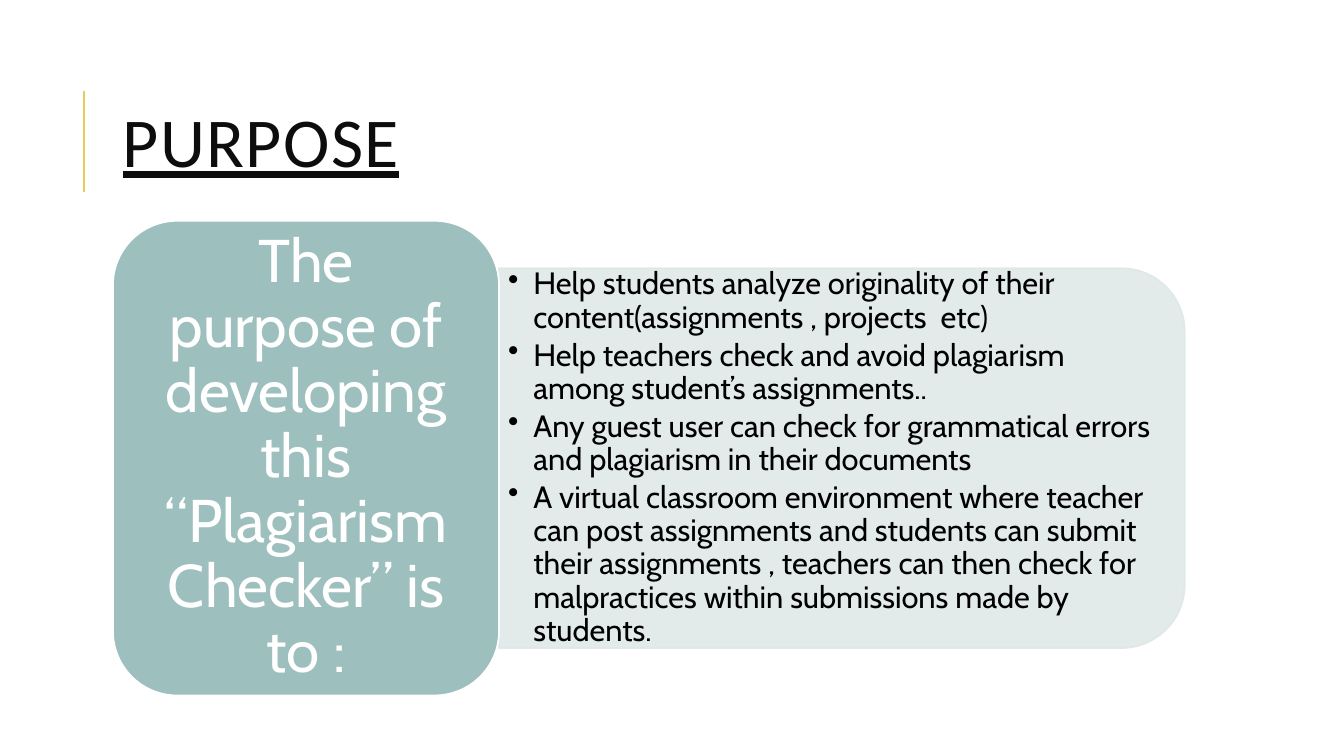
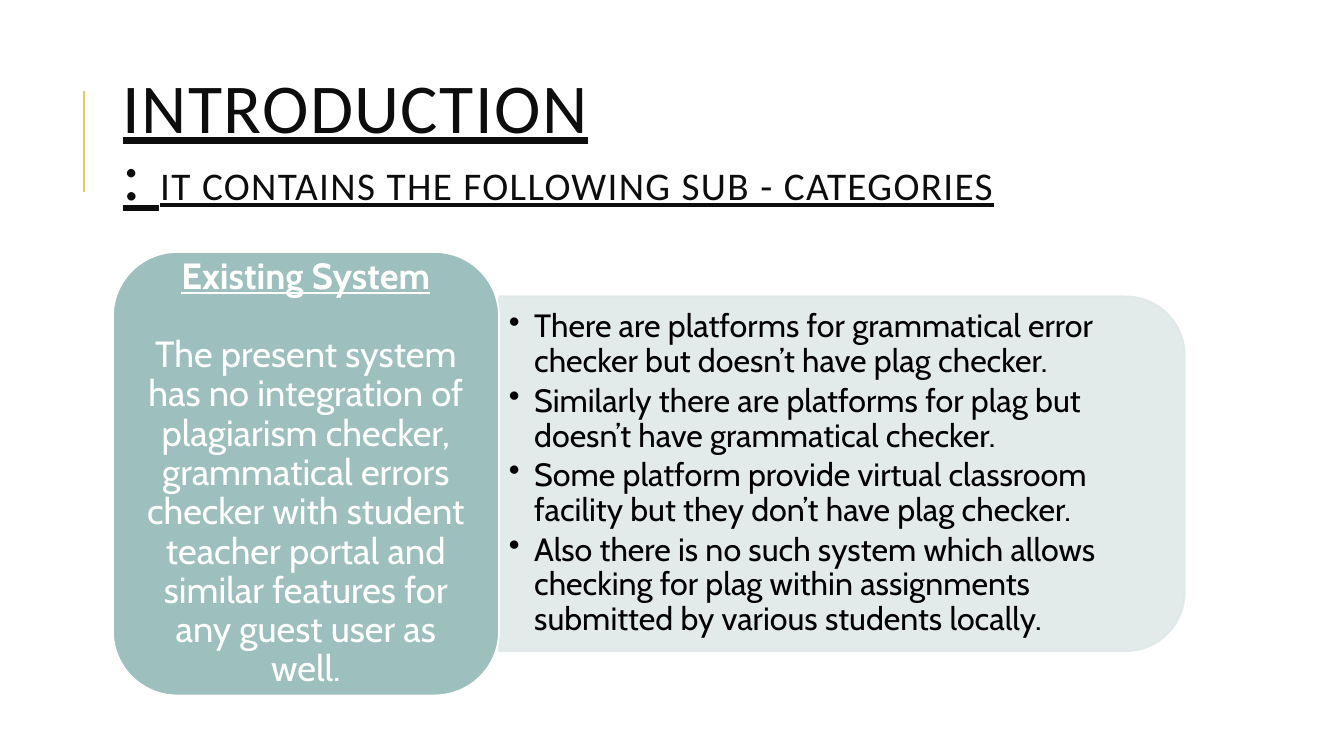
"""Build the purpose and introduction slides of a plagiarism checker deck."""
from dataclasses import dataclass

import pptx
import pptx.dml.color
import pptx.enum.shapes
import pptx.enum.text
import pptx.oxml.ns
import pptx.util
from lxml import etree

Inches = pptx.util.Inches
Pt = pptx.util.Pt
Shape = pptx.enum.shapes.MSO_SHAPE
Align = pptx.enum.text.PP_ALIGN
qn = pptx.oxml.ns.qn


@dataclass(frozen=True)
class Theme:
    """Colours, fonts and type sizes shared by the slides."""
    accent: str = "E3CC5A"
    title: str = "0D0D0D"
    card: str = "9DBFBE"
    panel: str = "DFE8E8"
    light: str = "FFFFFF"
    dark: str = "000000"
    title_font: str = "Calibri"
    body_font: str = "Cabin"
    title_size: int = 50
    subtitle_size: int = 28
    outline: float = 1.25
    rule: float = 1.5
    panel_opacity: int = 90


THEME = Theme()

SLIDES = [
    {
        "title": [[("PURPOSE", THEME.title_size)]],
        "heading": None,
        "statement": "The purpose of developing this “Plagiarism Checker” is to :",
        "statement_size": 43,
        "statement_insets": (0.18, 0.09),
        "bullets": [
            "Help students analyze originality of their content(assignments , projects  etc)",
            "Help teachers check and avoid plagiarism among student’s assignments..",
            "Any guest user can check for grammatical errors and plagiarism in their documents",
            "A virtual classroom environment where teacher can post assignments and students "
            "can submit their assignments , teachers can then check for malpractices within "
            "submissions made by students.",
        ],
        "bullet_size": 22,
        "bullet_insets": (0.09, 0.05),
        "card_top": 2.19,
    },
    {
        "title": [
            [("INTRODUCTION", THEME.title_size)],
            [(": ", THEME.title_size),
             ("IT CONTAINS THE FOLLOWING SUB - CATEGORIES", THEME.subtitle_size)],
        ],
        "heading": "Existing System",
        "statement": "The present system has no integration of plagiarism checker, "
                     "grammatical errors checker with student teacher portal and similar "
                     "features for any guest user as well.",
        "statement_size": 26,
        "statement_insets": (0.11, 0.05),
        "bullets": [
            "There are platforms for grammatical error checker but doesn’t have plag checker.",
            "Similarly there are platforms for plag but doesn’t have grammatical checker.",
            "Some platform provide virtual classroom facility but they don’t have plag checker.",
            "Also there is no such system which allows checking for plag within assignments "
            "submitted by various students locally.",
        ],
        "bullet_size": 23,
        "bullet_insets": (0.1, 0.05),
        "card_top": 2.5,
    },
]

LEFT = 1.12
CARD_WIDTH = 3.83
CARD_BOTTOM = 6.9
PANEL_WIDTH = 6.8
PANEL_SHARE = 0.8
CORNER = 0.16667
CORNER_TEXT_INSET = 0.29
LINE_SPACING = 0.9
BULLET_INDENT = 0.25


def rgb(value):
    return pptx.dml.color.RGBColor.from_string(value)


def add_run(paragraph, text, font, size, color, bold=False, underline=False):
    run = paragraph.add_run()
    run.text = text
    run.font.name = font
    run.font.size = Pt(size)
    run.font.color.rgb = rgb(color)
    run.font.bold = bold
    run.font.underline = underline
    return run


def prepare_frame(shape, insets):
    frame = shape.text_frame
    frame.word_wrap = True
    frame.vertical_anchor = pptx.enum.text.MSO_ANCHOR.MIDDLE
    frame.margin_left = frame.margin_right = Inches(insets[0])
    frame.margin_top = frame.margin_bottom = Inches(insets[1])
    return frame


def next_paragraph(frame, index, spacing):
    paragraph = frame.add_paragraph() if index else frame.paragraphs[0]
    paragraph.line_spacing = spacing
    return paragraph


def add_block(slide, kind, box, fill, line):
    shape = slide.shapes.add_shape(kind, *map(Inches, box))
    shape.shadow.inherit = False
    shape.fill.solid()
    shape.fill.fore_color.rgb = rgb(fill)
    shape.line.color.rgb = rgb(line)
    shape.line.width = Pt(THEME.outline)
    return shape


def add_title(slide, lines):
    rule = slide.shapes.add_connector(
        pptx.enum.shapes.MSO_CONNECTOR.STRAIGHT,
        Inches(0.83), Inches(1.9), Inches(0.83), Inches(0.9))
    rule.line.color.rgb = rgb(THEME.accent)
    rule.line.width = Pt(THEME.rule)
    etree.SubElement(rule._element.spPr, qn("a:effectLst"))

    box = slide.shapes.add_textbox(Inches(LEFT), Inches(0.64), Inches(10.63), Inches(1.64))
    frame = prepare_frame(box, (0.1, 0.05))
    for index, parts in enumerate(lines):
        paragraph = next_paragraph(frame, index, 0.8)
        for text, size in parts:
            run = add_run(paragraph, text, THEME.title_font, size, THEME.title, underline=True)
            run.font._element.set("spc", "100")


def add_panel(slide, center, height):
    left = LEFT + CARD_WIDTH + (PANEL_WIDTH - height) / 2
    box = (left, center - PANEL_WIDTH / 2, height, PANEL_WIDTH)
    panel = add_block(slide, Shape.ROUND_2_SAME_RECTANGLE, box, THEME.panel, THEME.panel)
    panel.rotation = 90
    for color in panel._element.spPr.iter(qn("a:srgbClr")):
        etree.SubElement(color, qn("a:alpha"), val=str(THEME.panel_opacity * 1000))


def add_bullets(slide, content, center, height):
    corner_inset = height * CORNER * CORNER_TEXT_INSET
    text_height = height - 2 * corner_inset
    box = slide.shapes.add_textbox(
        Inches(LEFT + CARD_WIDTH), Inches(center - text_height / 2),
        Inches(PANEL_WIDTH - corner_inset), Inches(text_height))
    frame = prepare_frame(box, content["bullet_insets"])
    size = content["bullet_size"]
    for index, text in enumerate(content["bullets"]):
        paragraph = next_paragraph(frame, index, LINE_SPACING)
        paragraph.space_after = Pt(size * 0.15)
        properties = paragraph._p.get_or_add_pPr()
        properties.set("marL", str(Inches(BULLET_INDENT)))
        properties.set("indent", str(-Inches(BULLET_INDENT)))
        etree.SubElement(properties, qn("a:buChar"), char="•")
        add_run(paragraph, text, THEME.body_font, size, THEME.dark)


def add_card(slide, content, height):
    box = (LEFT, content["card_top"], CARD_WIDTH, height)
    card = add_block(slide, Shape.ROUNDED_RECTANGLE, box, THEME.card, THEME.light)
    frame = prepare_frame(card, content["statement_insets"])
    size = content["statement_size"]
    texts = [(content["heading"], True), (content["statement"], False)]
    for index, (text, is_heading) in enumerate(part for part in texts if part[0]):
        paragraph = next_paragraph(frame, index, LINE_SPACING)
        paragraph.alignment = Align.CENTER
        if is_heading:
            paragraph.space_after = Pt(size * 1.2 * LINE_SPACING)
        add_run(paragraph, text, THEME.body_font, size, THEME.light, is_heading, is_heading)


def add_content_slide(presentation, content):
    slide = presentation.slides.add_slide(presentation.slide_layouts[6])
    card_height = CARD_BOTTOM - content["card_top"]
    center = content["card_top"] + card_height / 2
    panel_height = card_height * PANEL_SHARE
    add_title(slide, content["title"])
    add_panel(slide, center, panel_height)
    add_bullets(slide, content, center, panel_height)
    add_card(slide, content, card_height)


def main():
    presentation = pptx.Presentation()
    presentation.slide_width = Inches(13.33)
    presentation.slide_height = Inches(7.5)
    for content in SLIDES:
        add_content_slide(presentation, content)
    presentation.save("out.pptx")


if __name__ == "__main__":
    main()
